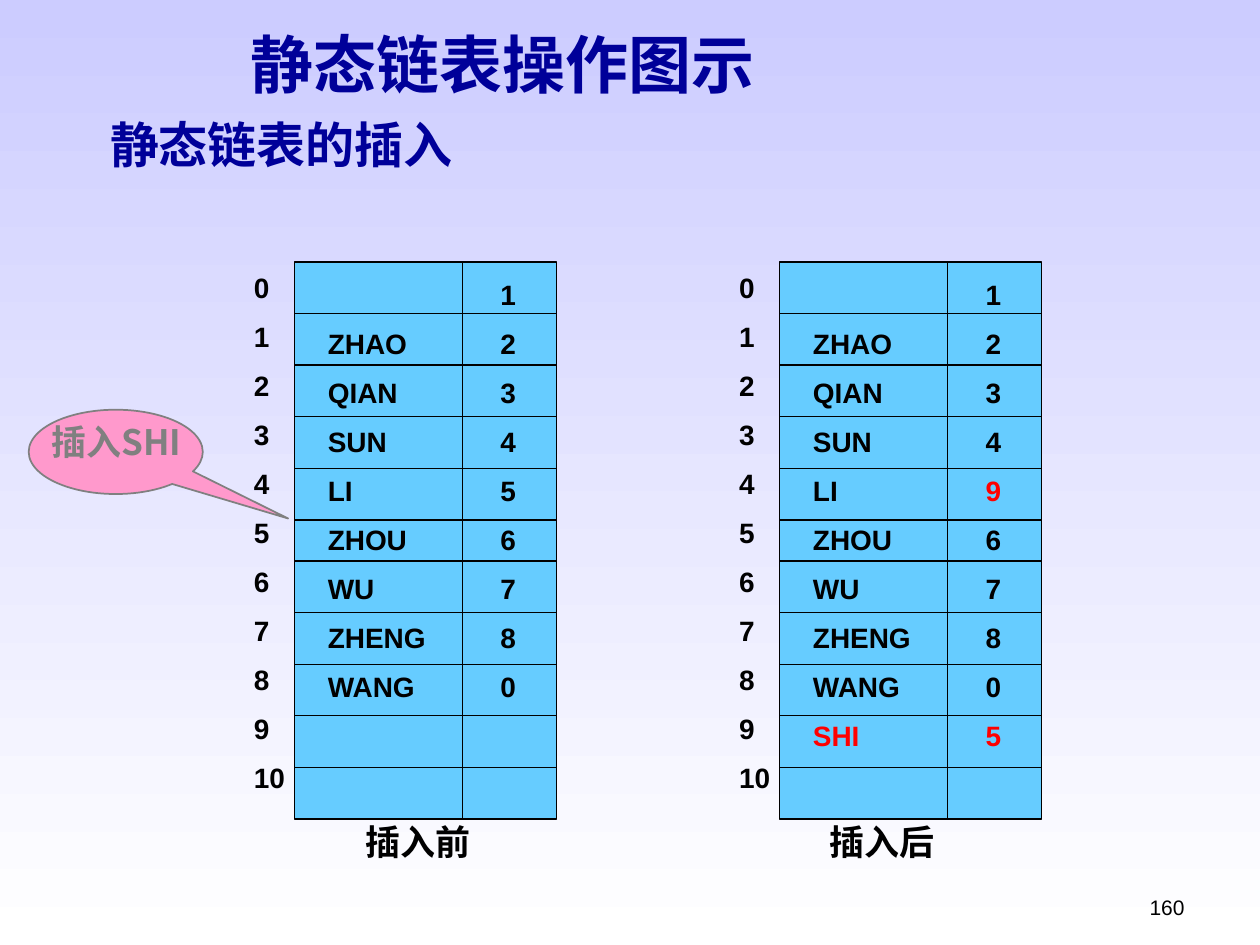
from lxml import etree
from pptx import Presentation
from pptx.dml.color import RGBColor
from pptx.enum.shapes import MSO_CONNECTOR, MSO_SHAPE
from pptx.enum.text import MSO_ANCHOR, PP_ALIGN
from pptx.oxml.ns import qn
from pptx.util import Cm, Pt

STRAIGHT = MSO_CONNECTOR.STRAIGHT
RECTANGLE = MSO_SHAPE.RECTANGLE
CALLOUT = MSO_SHAPE.OVAL_CALLOUT
LEFT, CENTER, RIGHT = PP_ALIGN.LEFT, PP_ALIGN.CENTER, PP_ALIGN.RIGHT
TOP, MIDDLE, BOTTOM = MSO_ANCHOR.TOP, MSO_ANCHOR.MIDDLE, MSO_ANCHOR.BOTTOM

COLORS = {
    "sky": "CCCCFF", "white": "FFFFFF", "navy": "000099", "black": "000000",
    "cell": "66CCFF", "red": "FF0000", "pink": "FF99CC", "gray": "808080",
}
CJK_FONT = "Noto Sans CJK SC"

# Row heights of the list grid; the sixth row is lower than the others
ROW_HEIGHTS = [1.04] * 5 + [0.83] + [1.04] * 5
GRID_WIDTH, DIVIDER = 5.28, 3.38
ROW_GAP = 8.8

NAMES = ["", "ZHAO", "QIAN", "SUN", "LI", "ZHOU", "WU", "ZHENG", "WANG"]
LINKS = ["1", "2", "3", "4", "5", "6", "7", "8", "0"]


def color(name):
    return RGBColor.from_string(COLORS[name])


def write(frame, lines, size=16, font="Arial", ink="black", bold=True,
          align=LEFT, anchor=TOP, gap=0, tab=None):
    """Fill a text frame; each line is a string or a list of (text, ink) pairs."""
    frame.word_wrap = True
    frame.vertical_anchor = anchor
    for index, line in enumerate(lines):
        para = frame.paragraphs[0] if index == 0 else frame.add_paragraph()
        para.alignment = align
        para.space_before = Pt(gap if index else 0)
        if tab:
            tabs = etree.SubElement(para._p.get_or_add_pPr(), qn("a:tabLst"))
            etree.SubElement(tabs, qn("a:tab"), pos=str(Cm(tab)), algn="l")
        for text, span_ink in [(line, ink)] if isinstance(line, str) else line:
            span = para.add_run()
            span.text = text
            span.font.size = Pt(size)
            span.font.bold = bold
            span.font.name = font
            span.font.color.rgb = color(span_ink)
            east_asian = etree.SubElement(span._r.get_or_add_rPr(), qn("a:ea"))
            east_asian.set("typeface", CJK_FONT)


def add_text(shapes, left, top, width, height, lines, **style):
    box = shapes.add_textbox(Cm(left), Cm(top), Cm(width), Cm(height))
    write(box.text_frame, lines, **style)


def add_panel(shapes, kind, left, top, width, height, fill, line, weight):
    panel = shapes.add_shape(kind, Cm(left), Cm(top), Cm(width), Cm(height))
    panel.shadow.inherit = False
    panel.fill.solid()
    panel.fill.fore_color.rgb = color(fill)
    panel.line.color.rgb = color(line)
    panel.line.width = Pt(weight)
    return panel


def add_rule(shapes, left, top, right, bottom):
    rule = shapes.add_connector(STRAIGHT, Cm(left), Cm(top), Cm(right), Cm(bottom))
    rule.line.color.rgb = color("black")
    rule.line.width = Pt(0.75)
    etree.SubElement(rule._element.spPr, qn("a:effectLst"))


def add_static_list(page, left, top, names, links, red_names=(), red_links=()):
    """Draw one list: grid, index numbers, then names with their links."""
    shapes = page.shapes.add_group_shape().shapes
    height = sum(ROW_HEIGHTS)
    add_panel(shapes, RECTANGLE, left, top, GRID_WIDTH, height, "cell", "black", 0.75)
    edge = top
    for row_height in ROW_HEIGHTS[:-1]:
        edge += row_height
        add_rule(shapes, left, edge, left + GRID_WIDTH, edge)
    add_rule(shapes, left + DIVIDER, top, left + DIVIDER, top + height)

    indices = [str(index) for index in range(len(ROW_HEIGHTS))]
    add_text(shapes, left - 1.07, top + 0.05, 1.47, 11.13, indices, gap=ROW_GAP)

    entries = [
        [(name + "\t", "red" if index in red_names else "black"),
         (link, "red" if index in red_links else "black")]
        for index, (name, link) in enumerate(zip(names, links))
    ]
    add_text(shapes, left + 0.42, top + 0.2, 4.45, 0.96 * len(entries) + 0.3,
             entries, gap=ROW_GAP, tab=3.48)


def add_insert_callout(page, left, top):
    shapes = page.shapes.add_group_shape().shapes
    bubble = add_panel(shapes, CALLOUT, left, top, 3.51, 1.7, "pink", "gray", 1)
    bubble.adjustments[0], bubble.adjustments[1] = 0.99, 0.79
    add_text(shapes, left + 0.2, top + 0.1, 3.71, 1.09, ["插入SHI"],
             size=20, font=CJK_FONT, ink="gray")


def add_headings(page):
    title = page.shapes.title
    title.left, title.top, title.width, title.height = Cm(0.99), Cm(0.64), Cm(18.29), Cm(1.27)
    write(title.text_frame, ["静态链表操作图示"], size=36, font="Times New Roman",
          ink="navy", align=CENTER, anchor=MIDDLE)
    add_text(page.shapes, 1.97, 2.18, 9.5, 1.45, ["静态链表的插入"],
             size=28, font=CJK_FONT, ink="navy")


def add_background(page):
    fill = page.background.fill
    fill.gradient()
    fill.gradient_angle = 270
    for stop, name, position in zip(fill.gradient_stops, ("sky", "white"), (0, 1)):
        stop.color.rgb = color(name)
        stop.position = position


def main():
    deck = Presentation()
    deck.slide_width, deck.slide_height = Cm(25.4), Cm(19.05)
    page = deck.slides.add_slide(deck.slide_layouts[5])
    add_background(page)
    add_headings(page)

    # The list before and after the insertion
    add_static_list(page, 5.94, 5.28, NAMES, LINKS)
    new_links = LINKS[:4] + ["9"] + LINKS[5:] + ["5"]
    add_static_list(page, 15.72, 5.28, NAMES + ["SHI"], new_links,
                    red_names=(9,), red_links=(4, 9))
    for left, caption in ((7.11, "插入前"), (16.48, "插入后")):
        add_text(page.shapes, left, 16.41, 3.5, 1.09, [caption], size=20, font=CJK_FONT)

    add_insert_callout(page, 0.58, 8.26)

    # Page number
    add_text(page.shapes, 18.21, 17.35, 5.92, 1.32, ["160"],
             size=12, bold=False, align=RIGHT, anchor=BOTTOM)
    deck.save("out.pptx")


if __name__ == "__main__":
    main()
